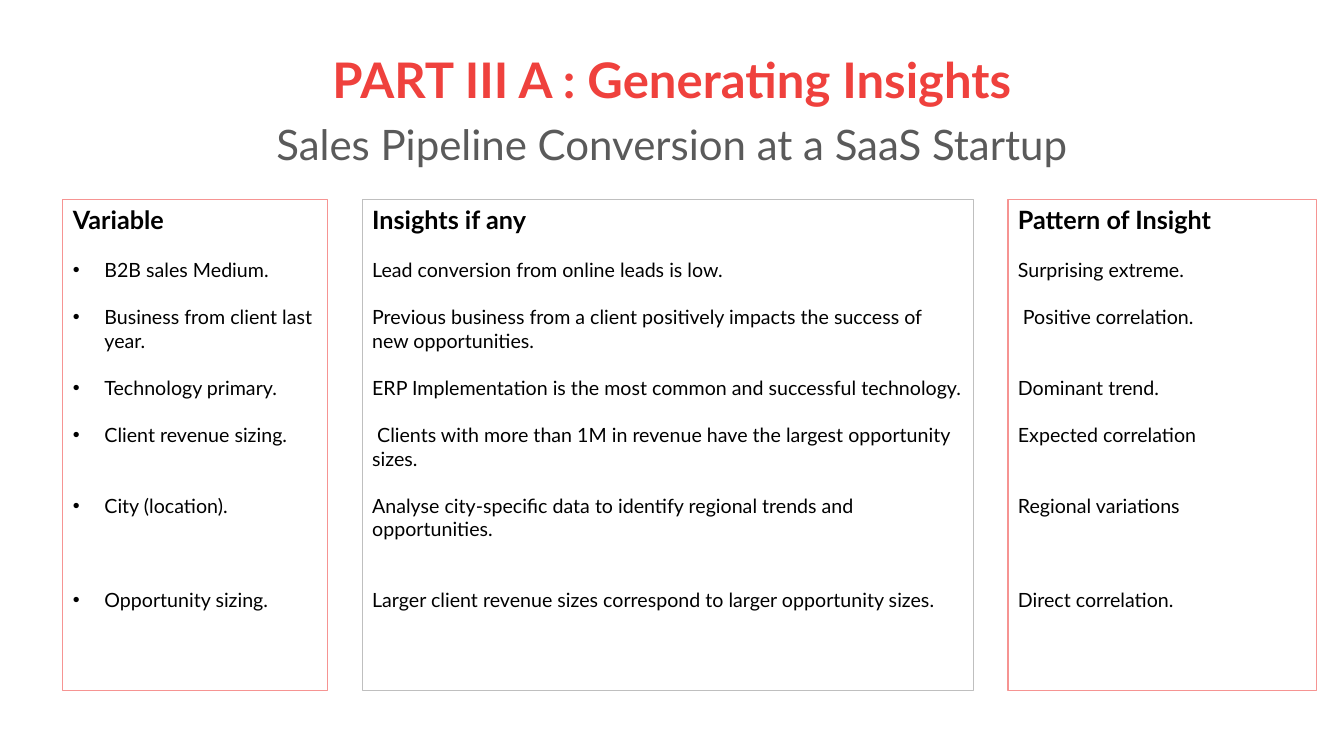
from lxml.etree import SubElement
from pptx import Presentation
from pptx.dml.color import RGBColor
from pptx.enum.shapes import MSO_SHAPE
from pptx.enum.text import MSO_ANCHOR, MSO_AUTO_SIZE, PP_ALIGN
from pptx.oxml.ns import qn
from pptx.util import Emu, Pt

RED = RGBColor(0xEF, 0x41, 0x3D)
PINK = RGBColor(0xF6, 0x94, 0x92)
SILVER = RGBColor(0xBF, 0xBF, 0xBF)
GREY = RGBColor(0x5A, 0x5A, 0x5A)
BLACK = RGBColor(0, 0, 0)

SCALE = 9525  # EMU in one px
LINE = 16.8  # height in points of one 14 pt line
TOP, TALL = 190, 468

# Each item: lines left free above it, then its text
VARIABLES = [
    (1, "B2B sales Medium."),
    (1, "Business from client last year."),
    (1, "Technology primary."),
    (1, "Client revenue sizing."),
    (2, "City (location)."),
    (3, "Opportunity sizing."),
]
INSIGHTS = [
    (1, "Lead conversion from online leads is low."),
    (1, "Previous business from a client positively impacts the success of new opportunities."),
    (1, "ERP Implementation is the most common and successful technology."),
    (1, " Clients with more than 1M in revenue have the largest opportunity sizes."),
    (1, "Analyse city-specific data to identify regional trends and opportunities."),
    (2, "Larger client revenue sizes correspond to larger opportunity sizes."),
]
PATTERNS = [
    (1, "Surprising extreme."),
    (1, " Positive correlation."),
    (2, "Dominant trend."),
    (1, "Expected correlation"),
    (2, "Regional variations"),
    (3, "Direct correlation."),
]


def px(count):
    return Emu(count * SCALE)


class Deck:
    def __init__(self, wide, high, face):
        self.face = face
        self.show = Presentation()
        self.show.slide_width, self.show.slide_height = px(wide), px(high)
        self.slide = self.show.slides.add_slide(self.show.slide_layouts[5])

    def label(self, para, text, size, color, bold=False, gap=0, align=PP_ALIGN.LEFT):
        """Fill a paragraph, with gap points of space above it."""
        para.text = text
        para.alignment = align
        para.space_before = Pt(gap)
        font = para.font
        font.name, font.size, font.bold = self.face, Pt(size), bold
        font.color.rgb = color

    def bullet(self, para):
        props = para._p.get_or_add_pPr()
        props.set("marL", str(px(30)))
        props.set("indent", str(px(-30)))
        tint = SubElement(props, qn("a:buClr"))
        SubElement(tint, qn("a:srgbClr")).set("val", str(BLACK))
        SubElement(props, qn("a:buFont")).set("typeface", "Arial")
        SubElement(props, qn("a:buChar")).set("char", "•")

    def title(self, left, top, wide, high, head, sub):
        box = self.slide.shapes.title
        box.left, box.top, box.width, box.height = map(px, (left, top, wide, high))
        frame = box.text_frame
        frame.auto_size = MSO_AUTO_SIZE.NONE
        frame.vertical_anchor = MSO_ANCHOR.MIDDLE
        first, second = frame.paragraphs[0], frame.add_paragraph()
        self.label(first, head, 35, RED, True, align=PP_ALIGN.CENTER)
        self.label(second, sub, 30, GREY, gap=10.8, align=PP_ALIGN.CENTER)
        first.line_spacing = second.line_spacing = 0.9

    def column(self, left, wide, edge, head, items, dots=False):
        box = self.slide.shapes.add_shape(
            MSO_SHAPE.RECTANGLE, px(left), px(TOP), px(wide), px(TALL))
        box.shadow.inherit = False
        box.fill.background()
        box.line.color.rgb = edge
        box.line.width = Pt(0.75)
        frame = box.text_frame
        frame.word_wrap = True
        frame.vertical_anchor = MSO_ANCHOR.TOP
        self.label(frame.paragraphs[0], head, 18, BLACK, True)
        for lines, text in items:
            para = frame.add_paragraph()
            if dots:
                self.bullet(para)
            self.label(para, text, 14, BLACK, gap=lines * LINE)


def main():
    deck = Deck(1280, 720, "Lato")
    deck.title(88, 38, 1104, 139, "PART III A : Generating Insights",
               "Sales Pipeline Conversion at a SaaS Startup")
    deck.column(60, 252, PINK, "Variable", VARIABLES, dots=True)
    deck.column(345, 582, SILVER, "Insights if any", INSIGHTS)
    deck.column(960, 294, PINK, "Pattern of Insight", PATTERNS)
    deck.show.save("out.pptx")


if __name__ == "__main__":
    main()
